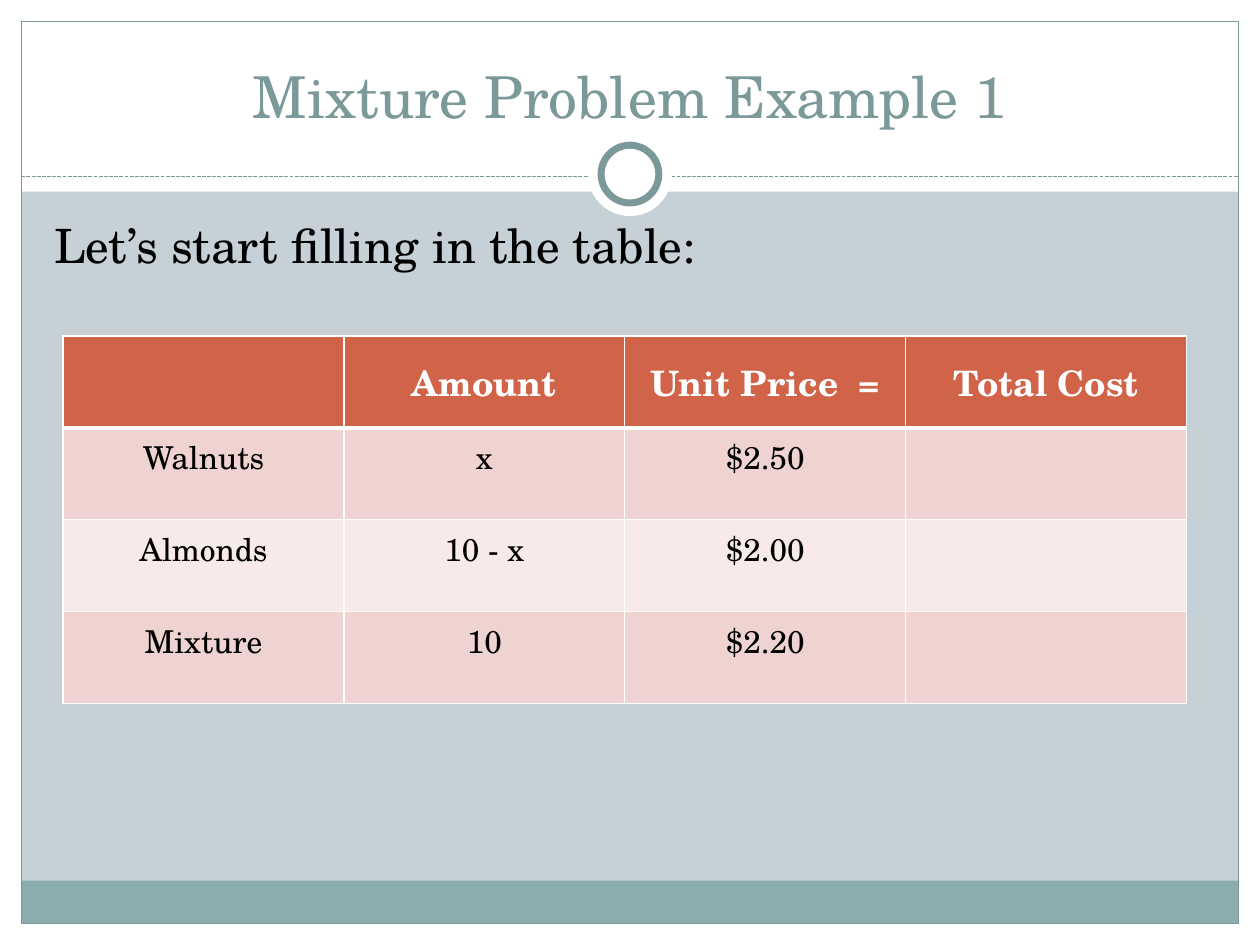
from lxml.etree import SubElement
from pptx import Presentation
from pptx.dml.color import RGBColor
from pptx.enum.dml import MSO_LINE
from pptx.enum.shapes import MSO_CONNECTOR, MSO_SHAPE
from pptx.enum.text import MSO_ANCHOR, PP_ALIGN
from pptx.oxml import parse_xml
from pptx.oxml.ns import nsdecls, qn
from pptx.util import Pt

FONT = "TeX Gyre Schola"
WHITE = RGBColor(0xFF, 0xFF, 0xFF)
BLACK = RGBColor(0, 0, 0)
BACKDROP = RGBColor(0xC5, 0xD1, 0xD7)
TEAL = RGBColor(0x7C, 0x99, 0x9A)
FOOTER = RGBColor(0x8C, 0xAD, 0xAE)
HEADER = RGBColor(0xD1, 0x63, 0x49)
BANDS = (RGBColor(0xEE, 0xD3, 0xD0), RGBColor(0xF7, 0xEA, 0xE9))

WIDTH, HEIGHT = 720, 540
MARGIN = 12.2
INNER_WIDTH = WIDTH - 2 * MARGIN
TITLE_BAND = 109.5
RULE_Y = 100.8
RING_Y = 99.5

ROWS = (
    ("", "Amount", "Unit Price  =", "Total Cost"),
    ("Walnuts", "x", "$2.50", ""),
    ("Almonds", "10 - x", "$2.00", ""),
    ("Mixture", "10", "$2.20", ""),
)
COLUMN_WIDTH, ROW_HEIGHT = 160.5, 52.5


def add_panel(slide, box, fill=None, line=None, line_width=0.75,
              preset=MSO_SHAPE.RECTANGLE):
    """Add a flat shape with an optional fill and outline."""
    panel = slide.shapes.add_shape(preset, *map(Pt, box))
    panel.shadow.inherit = False
    if fill is None:
        panel.fill.background()
    else:
        panel.fill.solid()
        panel.fill.fore_color.rgb = fill
    if line is None:
        panel.line.fill.background()
    else:
        panel.line.color.rgb = line
        panel.line.width = Pt(line_width)


def add_disc(slide, diameter, line=None):
    """Add a white circle centred on the title rule."""
    box = ((WIDTH - diameter) / 2, RING_Y - diameter / 2, diameter, diameter)
    add_panel(slide, box, WHITE, line, 4, MSO_SHAPE.OVAL)


def add_dashed_rule(slide):
    """Add the dashed line below the title."""
    rule = slide.shapes.add_connector(
        MSO_CONNECTOR.STRAIGHT, Pt(MARGIN), Pt(RULE_Y),
        Pt(WIDTH - MARGIN), Pt(RULE_Y))
    rule.line.color.rgb = TEAL
    rule.line.width = Pt(0.75)
    rule.line.dash_style = MSO_LINE.SQUARE_DOT
    SubElement(rule._element.spPr, qn("a:effectLst"))


def style_paragraph(paragraph, size, color, align, bold=False):
    """Set the font and alignment of a paragraph."""
    paragraph.alignment = align
    font = paragraph.font
    font.name, font.size, font.bold = FONT, Pt(size), bold
    font.color.rgb = color


def add_text(slide, box, text, size, color, align, anchor, space_before=0):
    """Add a wrapped text box with one paragraph."""
    frame = slide.shapes.add_textbox(*map(Pt, box)).text_frame
    frame.word_wrap = True
    frame.vertical_anchor = anchor
    paragraph = frame.paragraphs[0]
    paragraph.text = text
    paragraph.space_before = Pt(space_before)
    style_paragraph(paragraph, size, color, align)


def set_borders(cell, **widths):
    """Draw white cell borders of the given widths, keyed by side."""
    properties = cell._tc.get_or_add_tcPr()
    for side in "LRTB":
        properties.append(parse_xml(
            f'<a:ln{side} {nsdecls("a")} w="{Pt(widths.get(side, 1))}">'
            f'<a:solidFill><a:srgbClr val="{WHITE}"/></a:solidFill>'
            f'</a:ln{side}>'))


def fill_cell(cell, text, row):
    """Write and style one cell according to its row."""
    is_header = row == 0
    borders = {0: {"B": 3}, 1: {"T": 3}}.get(row, {})
    set_borders(cell, **borders)
    cell.fill.solid()
    cell.fill.fore_color.rgb = HEADER if is_header else BANDS[(row - 1) % 2]
    cell.vertical_anchor = MSO_ANCHOR.MIDDLE if is_header else MSO_ANCHOR.TOP
    cell.text = text
    style_paragraph(cell.text_frame.paragraphs[0], 20 if is_header else 18,
                    WHITE if is_header else BLACK, PP_ALIGN.CENTER, is_header)


def add_mixture_table(slide):
    """Add the table of amounts, prices and costs."""
    table = slide.shapes.add_table(
        len(ROWS), len(ROWS[0]), Pt(36), Pt(192),
        Pt(COLUMN_WIDTH * len(ROWS[0])), Pt(ROW_HEIGHT * len(ROWS))).table
    for row, texts in enumerate(ROWS):
        for column, text in enumerate(texts):
            fill_cell(table.cell(row, column), text, row)


def add_frame(slide):
    """Add the margins, bands, outline and ring around the content."""
    for box in ((0, HEIGHT - MARGIN, WIDTH, MARGIN),
                (0, 0, WIDTH, TITLE_BAND),
                (0, 0, MARGIN, HEIGHT),
                (WIDTH - MARGIN, 0, MARGIN, HEIGHT)):
        add_panel(slide, box, WHITE)
    add_panel(slide, (MARGIN, 503.3, INNER_WIDTH, 24.5), FOOTER)
    add_panel(slide, (MARGIN, MARGIN, INNER_WIDTH, HEIGHT - 2 * MARGIN),
              line=TEAL)
    add_dashed_rule(slide)
    add_disc(slide, 48)
    add_disc(slide, 33, TEAL)


def main():
    """Build and save the slide."""
    deck = Presentation()
    deck.slide_width, deck.slide_height = Pt(WIDTH), Pt(HEIGHT)
    slide = deck.slides.add_slide(deck.slide_layouts[6])
    slide.background.fill.solid()
    slide.background.fill.fore_color.rgb = BACKDROP
    add_frame(slide)
    add_text(slide, (24, 18, 672, 60), "Mixture Problem Example 1", 33, TEAL,
             PP_ALIGN.CENTER, MSO_ANCHOR.BOTTOM)
    add_text(slide, (24, 120, 669.6, 360), "Let’s start filling in the table:",
             27, BLACK, PP_ALIGN.LEFT, MSO_ANCHOR.TOP, space_before=5.4)
    add_mixture_table(slide)
    deck.save("out.pptx")


main()
